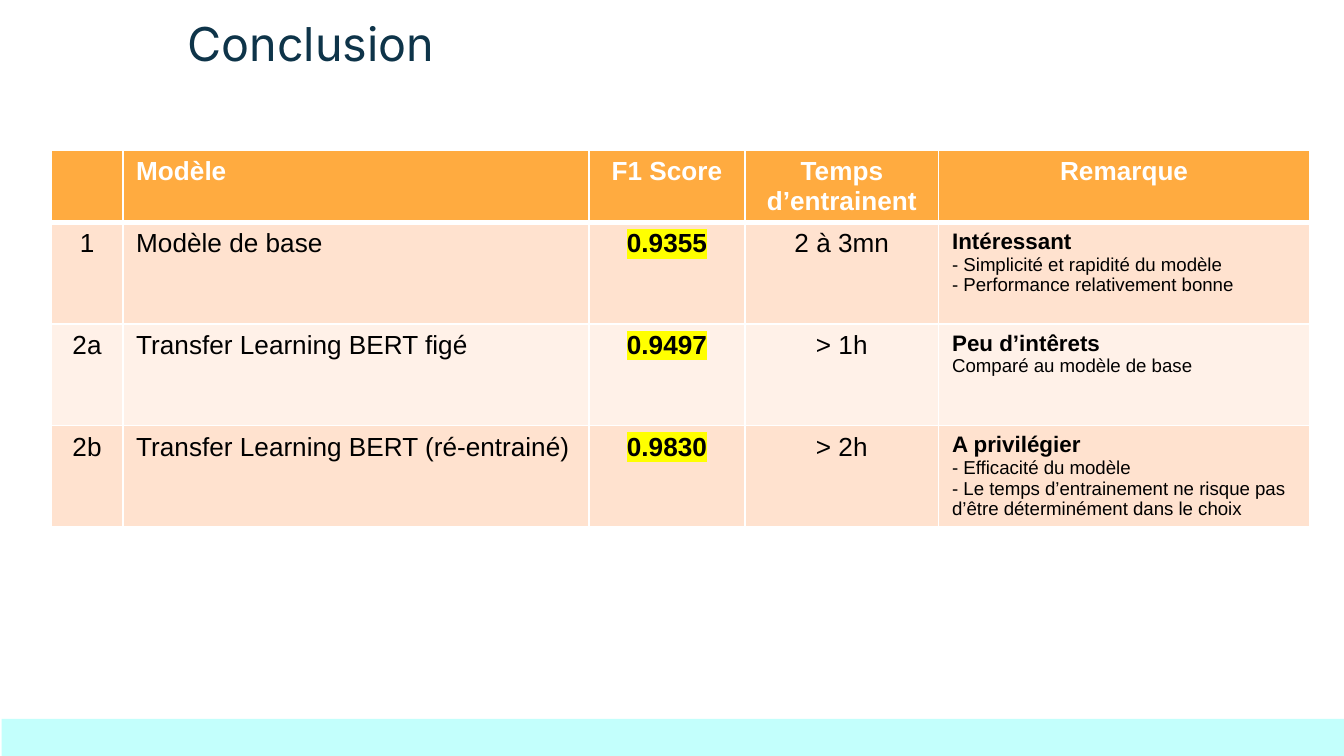
from lxml.etree import SubElement
from pptx import Presentation
from pptx.dml.color import RGBColor
from pptx.enum.shapes import MSO_SHAPE
from pptx.enum.text import MSO_ANCHOR, MSO_AUTO_SIZE, PP_ALIGN
from pptx.oxml import parse_xml
from pptx.oxml.ns import nsdecls, qn
from pptx.util import Cm, Pt

COLORS = {
    "title": "0E3449", "footer": "C3FFFC", "header": "FFAB40",
    "odd": "FFE2CF", "even": "FFF1E8", "white": "FFFFFF",
    "black": "000000", "highlight": "FFFF00",
}


def add_run(paragraph, text, size, color, bold=False, font="Arial"):
    run = paragraph.add_run()
    run.text = text
    values = {"size": Pt(size), "bold": bold, "name": font}
    for name, value in values.items():
        setattr(run.font, name, value)
    run.font.color.rgb = RGBColor.from_string(COLORS[color])
    return run


def format_cell(cell, fill, bottom_width):
    cell.fill.solid()
    cell.fill.fore_color.rgb = RGBColor.from_string(COLORS[fill])
    properties = cell._tc.get_or_add_tcPr()
    for position, side in enumerate("LRTB"):
        width = Pt(bottom_width if side == "B" else 1)
        properties.insert(position, parse_xml(
            f'<a:ln{side} {nsdecls("a")} w="{width}"><a:solidFill>'
            f'<a:srgbClr val="{COLORS["white"]}"/></a:solidFill></a:ln{side}>'))


presentation = Presentation()
presentation.slide_width = Cm(25.4)
presentation.slide_height = Cm(14.29)
slide = presentation.slides.add_slide(presentation.slide_layouts[5])

title = slide.shapes.title
title_box = {"left": Cm(3.3), "top": Cm(0.03), "width": Cm(14.76), "height": Cm(1.47)}
for name, value in title_box.items():
    setattr(title, name, value)
title_format = {
    "auto_size": MSO_AUTO_SIZE.NONE, "vertical_anchor": MSO_ANCHOR.TOP, "word_wrap": True,
    "margin_left": Cm(0.25), "margin_right": Cm(0.25),
    "margin_top": Cm(0.25), "margin_bottom": Cm(0.25),
}
for name, value in title_format.items():
    setattr(title.text_frame, name, value)
title_paragraph = title.text_frame.paragraphs[0]
title_paragraph.alignment = PP_ALIGN.LEFT
add_run(title_paragraph, "Conclusion", 25, "title", font="Inter")

footer = slide.shapes.add_shape(MSO_SHAPE.RECTANGLE, Cm(0.03), Cm(13.59), Cm(25.4), Cm(0.7))
footer.shadow.inherit = False
footer.fill.solid()
footer.fill.fore_color.rgb = RGBColor.from_string(COLORS["footer"])
footer.line.fill.background()

headers = ["", "Modèle", "F1 Score", "Temps d’entrainent", "Remarque"]
models = [
    ["1", "Modèle de base", "0.9355", "2 à 3mn",
     ["Intéressant", "- Simplicité et rapidité du modèle", "- Performance relativement bonne"]],
    ["2a", "Transfer Learning BERT figé", "0.9497", "> 1h",
     ["Peu d’intêrets", "Comparé au modèle de base"]],
    ["2b", "Transfer Learning BERT (ré-entrainé)", "0.9830", "> 2h",
     ["A privilégier", "- Efficacité du modèle",
      "- Le temps d’entrainement ne risque pas d’être déterminément dans le choix"]],
]
column_widths = [1.35, 8.81, 2.95, 3.66, 7.01]
row_heights = [1.34] + [1.92] * len(models)
MODEL, SCORE, REMARK = 1, 2, 4

table = slide.shapes.add_table(
    len(row_heights), len(column_widths), Cm(0.97), Cm(2.84),
    Cm(sum(column_widths)), Cm(sum(row_heights))).table
for column, width in zip(table.columns, column_widths):
    column.width = Cm(width)
for row, height in zip(table.rows, row_heights):
    row.height = Cm(height)

for column, text in enumerate(headers):
    cell = table.cell(0, column)
    format_cell(cell, "header", 3)
    paragraph = cell.text_frame.paragraphs[0]
    paragraph.alignment = PP_ALIGN.LEFT if column == MODEL else PP_ALIGN.CENTER
    if text:
        add_run(paragraph, text, 14, "white", bold=True)

for row, model in enumerate(models, 1):
    for column, content in enumerate(model):
        cell = table.cell(row, column)
        format_cell(cell, "odd" if row % 2 else "even", 1)
        frame = cell.text_frame
        paragraph = frame.paragraphs[0]
        if column == REMARK:
            verdict, *reasons = content
            add_run(paragraph, verdict, 12, "black", bold=True)
            for reason in reasons:
                add_run(frame.add_paragraph(), reason, 10, "black")
            continue
        paragraph.alignment = PP_ALIGN.LEFT if column == MODEL else PP_ALIGN.CENTER
        run = add_run(paragraph, content, 14, "black", bold=column == SCORE)
        if column == SCORE:
            run_properties = run.font._element
            highlight = SubElement(run_properties, qn("a:highlight"))
            SubElement(highlight, qn("a:srgbClr"), val=COLORS["highlight"])
            run_properties.find(qn("a:solidFill")).addnext(highlight)

presentation.save("out.pptx")
